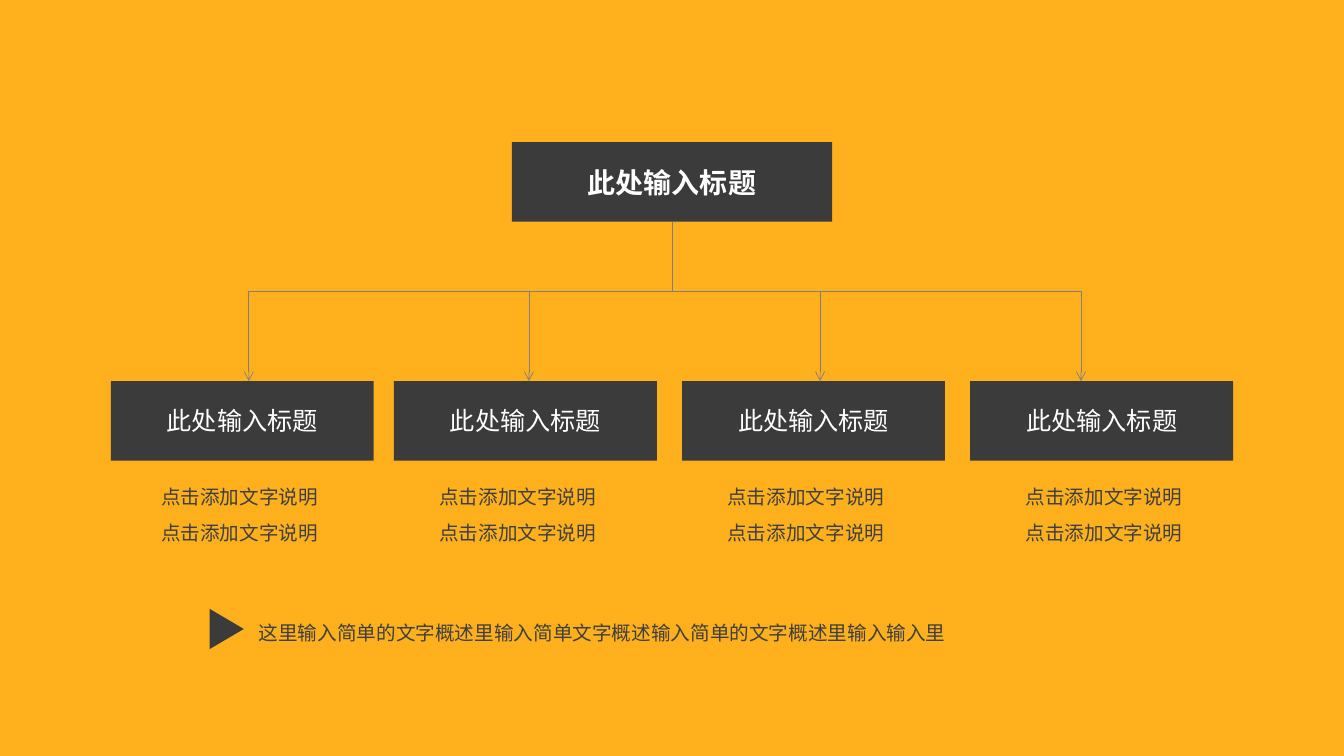
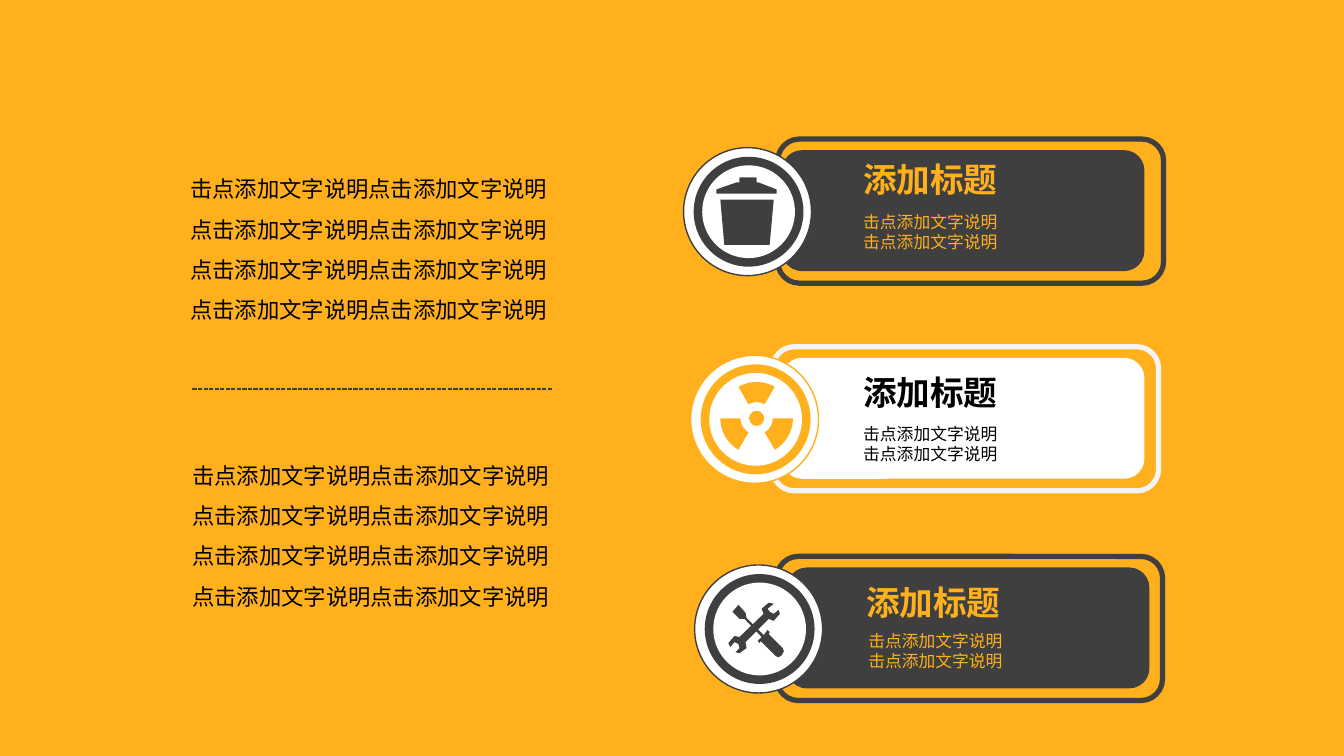
from math import cos, radians, sin

from lxml import etree
from pptx import Presentation
from pptx.dml.color import RGBColor
from pptx.enum.dml import MSO_LINE
from pptx.enum.shapes import MSO_CONNECTOR, MSO_SHAPE
from pptx.enum.text import MSO_ANCHOR, MSO_AUTO_SIZE, PP_ALIGN
from pptx.oxml.ns import qn
from pptx.util import Inches, Pt

RECTANGLE = MSO_SHAPE.RECTANGLE
ROUNDED = MSO_SHAPE.ROUNDED_RECTANGLE
OVAL = MSO_SHAPE.OVAL
TRIANGLE = MSO_SHAPE.ISOSCELES_TRIANGLE
STRAIGHT = MSO_CONNECTOR.STRAIGHT
DASHED = MSO_LINE.SQUARE_DOT
LEFT, CENTER = PP_ALIGN.LEFT, PP_ALIGN.CENTER
MIDDLE = MSO_ANCHOR.MIDDLE
GROW = MSO_AUTO_SIZE.SHAPE_TO_FIT_TEXT

COLORS = {
    "orange": "FFB01C",
    "box": "3B3B3B",
    "dark": "3F3F3F",
    "gray": "7F7F7F",
    "pale": "F4F4F4",
    "white": "FFFFFF",
    "black": "000000",
}
HEAD_FONT = "Noto Sans CJK SC"
BODY_FONT = "Karla"


def color(name):
    return RGBColor.from_string(COLORS[name])


class Deck:
    """Holds the shared style and the slide being drawn."""

    def __init__(self):
        self.presentation = Presentation()
        self.presentation.slide_width = Inches(13.34)
        self.presentation.slide_height = Inches(7.5)
        self.page = None

    def new_page(self):
        self.page = self.presentation.slides.add_slide(self.presentation.slide_layouts[6])
        background = self.page.background.fill
        background.solid()
        background.fore_color.rgb = color("orange")

    def paint(self, shape, fill=None, line=None, weight=1):
        shape.shadow.inherit = False
        if fill:
            shape.fill.solid()
            shape.fill.fore_color.rgb = color(fill)
        else:
            shape.fill.background()
        if line:
            shape.line.color.rgb = color(line)
            shape.line.width = Pt(weight)
        else:
            shape.line.fill.background()
        return shape

    def shape(self, kind, left, top, width, height, fill=None, line=None, weight=1, corner=None):
        shape = self.page.shapes.add_shape(
            kind, Inches(left), Inches(top), Inches(width), Inches(height))
        if corner is not None:
            shape.adjustments[0] = corner
        return self.paint(shape, fill, line, weight)

    def circle(self, x, y, size, fill, line=None):
        return self.shape(OVAL, x - size / 2, y - size / 2, size, size, fill, line)

    def outline(self, points, fill):
        start, *rest = [(Inches(x), Inches(y)) for x, y in points]
        builder = self.page.shapes.build_freeform(*start, scale=1)
        builder.add_line_segments(rest, close=True)
        return self.paint(builder.convert_to_shape(), fill)

    def line(self, x1, y1, x2, y2, name, weight, dash=None, arrow=False):
        connector = self.page.shapes.add_connector(
            STRAIGHT, Inches(x1), Inches(y1), Inches(x2), Inches(y2))
        connector.line.color.rgb = color(name)
        connector.line.width = Pt(weight)
        if dash:
            connector.line.dash_style = dash
        properties = connector._element.spPr
        if arrow:
            etree.SubElement(properties.find(qn("a:ln")), qn("a:tailEnd"), type="arrow")
        etree.SubElement(properties, qn("a:effectLst"))
        return connector

    def set_text(self, frame, text, size, name, font, align=LEFT, bold=False, spacing=None):
        frame.word_wrap = True
        frame.text = text
        for para in frame.paragraphs:
            para.alignment = align
            if spacing:
                para.line_spacing = spacing
            for span in para.runs:
                span.font.name = font
                span.font.size = Pt(size)
                span.font.bold = bold
                span.font.color.rgb = color(name)
                latin = span.font._element.find(qn("a:latin"))
                latin.addnext(etree.Element(qn("a:ea"), typeface=font))

    def text(self, left, top, width, height, text, size, name, font, **style):
        box = self.page.shapes.add_textbox(
            Inches(left), Inches(top), Inches(width), Inches(height))
        self.set_text(box.text_frame, text, size, name, font, **style)
        box.text_frame.auto_size = GROW

    def label_box(self, left, top, width, text, size, bold=False):
        box = self.shape(RECTANGLE, left, top, width, 0.79, "box")
        self.set_text(box.text_frame, text, size, "white", HEAD_FONT, CENTER, bold)
        box.text_frame.vertical_anchor = MIDDLE
        return box

    def card(self, top, frame_x, panel_x, badge_x, title, note, panel, frame, ring, rim, ink):
        """Draw a framed panel with a round badge; return the badge centre."""
        self.shape(ROUNDED, frame_x, top, 3.83, 1.43, line=frame, weight=3.75, corner=0.15)
        self.shape(ROUNDED, panel_x, top + 0.11, 3.6, 1.2, panel, corner=0.167)
        x, y = badge_x, top + 0.72
        self.circle(x, y, 1.27, "white", rim)
        self.circle(x + 0.01, y, 1.09, ring)
        self.circle(x + 0.01, y, 0.92, "white")
        self.text(*title, 1.76, 0.5, "添加标题", 24, ink, HEAD_FONT, bold=True)
        self.text(*note, 2.34, 0.5, "\n".join(["击点添加文字说明"] * 2), 12, ink, BODY_FONT)
        return x, y


def draw_chart_page(deck):
    deck.new_page()
    bus_y, box_top = 2.89, 3.78

    # Root box and its stem
    root = deck.label_box(5.08, 1.41, 3.18, "此处输入标题", 20, bold=True)
    stem = deck.line(6.67, 2.2, 6.67, bus_y, "gray", 0.5)
    stem.begin_connect(root, 2)

    # Branches: box left, arrow x, description left
    branches = [(1.1, 2.47, 1), (3.91, 5.25, 3.76), (6.77, 8.14, 6.62), (9.63, 10.73, 9.58)]
    deck.line(branches[0][1], bus_y, branches[-1][1], bus_y, "gray", 0.5)
    for box_x, arrow_x, text_x in branches:
        deck.line(arrow_x, bus_y, arrow_x, box_top, "gray", 0.5, arrow=True)
        deck.label_box(box_x, box_top, 2.61, "此处输入标题", 18)
        deck.text(text_x, 4.65, 2.76, 0.8, "\n".join(["点击添加文字说明"] * 2),
                  14, "dark", HEAD_FONT, align=CENTER, spacing=1.5)

    # Summary line
    deck.shape(TRIANGLE, 2.05, 6.07, 0.4, 0.34, "box").rotation = 90
    deck.text(2.47, 5.99, 8.93, 0.45,
              "这里输入简单的文字概述里输入简单文字概述输入简单的文字概述里输入输入里",
              14, "dark", HEAD_FONT, spacing=1.5)


def draw_bin(deck):
    deck.outline([(7.15, 1.98), (7.68, 1.98), (7.64, 2.43), (7.19, 2.43)], "dark")
    deck.outline([(7.31, 1.81), (7.53, 1.81), (7.71, 1.88), (7.71, 1.92),
                  (7.11, 1.92), (7.11, 1.88)], "dark")
    deck.shape(ROUNDED, 7.34, 1.76, 0.17, 0.06, "dark", corner=0.167)


def draw_trefoil(deck, x, y):
    deck.circle(x, y, 0.15, "orange")
    for middle in (30, 150, 270):
        sweep = [radians(middle + step) for step in range(-30, 31, 5)]
        arcs = [(0.16, angle) for angle in sweep] + [(0.36, angle) for angle in sweep[::-1]]
        deck.outline([(x + r * cos(angle), y + r * sin(angle)) for r, angle in arcs], "orange")


def draw_tools(deck):
    wrench = [
        (7.73, 6.05), (7.74, 6.09), (7.68, 6.16), (7.63, 6.14), (7.4, 6.37), (7.41, 6.43),
        (7.34, 6.48), (7.3, 6.47), (7.34, 6.43), (7.33, 6.39), (7.29, 6.37), (7.25, 6.42),
        (7.23, 6.38), (7.29, 6.31), (7.34, 6.32), (7.58, 6.09), (7.56, 6.04), (7.63, 5.98),
        (7.68, 5.99), (7.62, 6.04), (7.64, 6.07), (7.68, 6.09)]
    screwdriver = [
        (7.41, 6.13), (7.58, 6.3), (7.62, 6.25), (7.64, 6.27), (7.63, 6.29), (7.77, 6.43),
        (7.78, 6.46), (7.76, 6.5), (7.73, 6.52), (7.7, 6.51), (7.55, 6.36), (7.54, 6.38),
        (7.52, 6.36), (7.56, 6.32), (7.39, 6.14), (7.34, 6.14), (7.27, 6.07), (7.33, 6),
        (7.4, 6.08)]
    for points in (wrench, screwdriver):
        deck.outline(points, "dark")


def draw_card_page(deck):
    deck.new_page()

    # Left column
    lines = ["击点添加文字说明点击添加文字说明"] + ["点击添加文字说明点击添加文字说明"] * 3
    for left, top in ((1.79, 1.56), (1.81, 4.4)):
        deck.text(left, top, 4.03, 2.1, "\n".join(lines), 16, "black", BODY_FONT, spacing=1.5)
    deck.line(1.91, 3.86, 5.49, 3.86, "dark", 1, DASHED)

    # Cards with their icons
    dark = dict(panel="dark", frame="dark", ring="dark", rim="dark", ink="orange")
    light = dict(panel="white", frame="pale", ring="orange", rim="orange", ink="black")
    deck.card(1.38, 7.72, 7.76, 7.42, (8.47, 1.53), (8.47, 2.05), **dark)
    draw_bin(deck)
    x, y = deck.card(3.44, 7.67, 7.76, 7.49, (8.47, 3.64), (8.47, 4.15), **light)
    draw_trefoil(deck, x + 0.02, y - 0.01)
    deck.card(5.52, 7.71, 7.81, 7.53, (8.5, 5.72), (8.52, 6.21), **dark)
    draw_tools(deck)


def main():
    deck = Deck()
    draw_chart_page(deck)
    draw_card_page(deck)
    deck.presentation.save("out.pptx")


if __name__ == "__main__":
    main()
